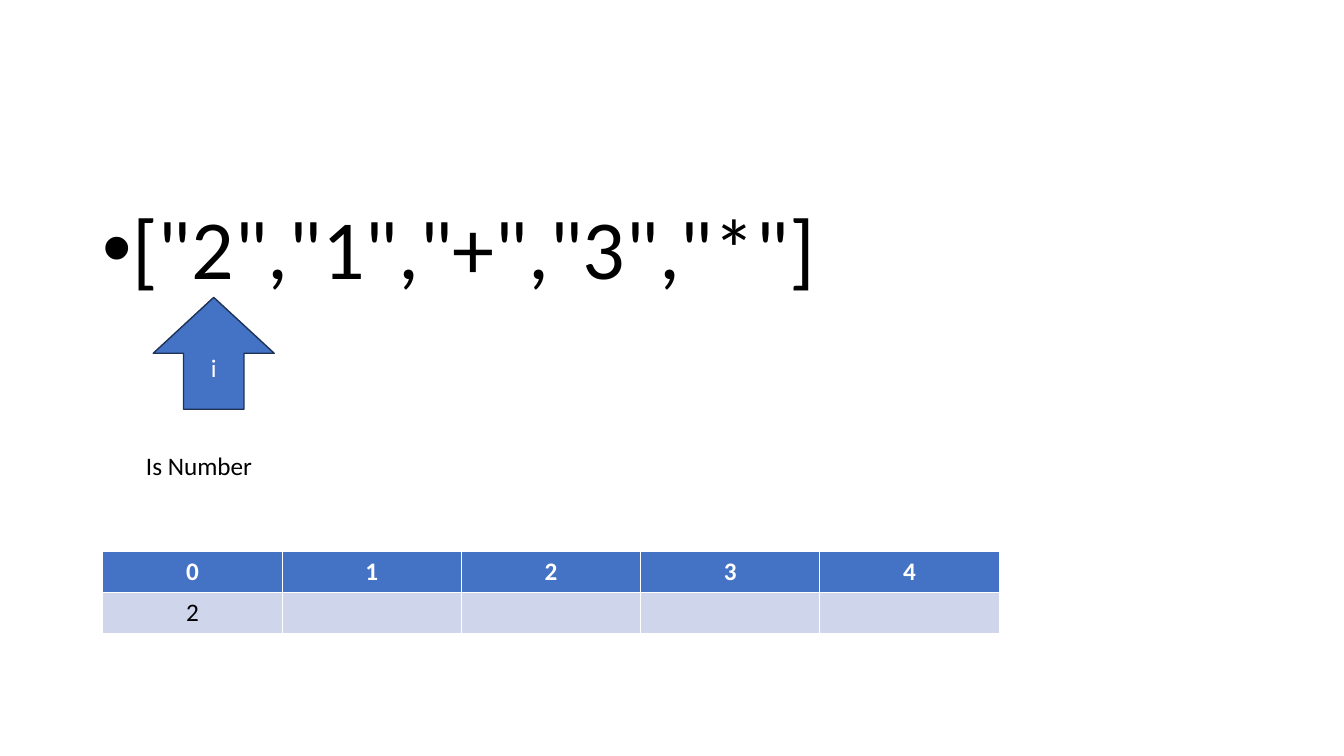
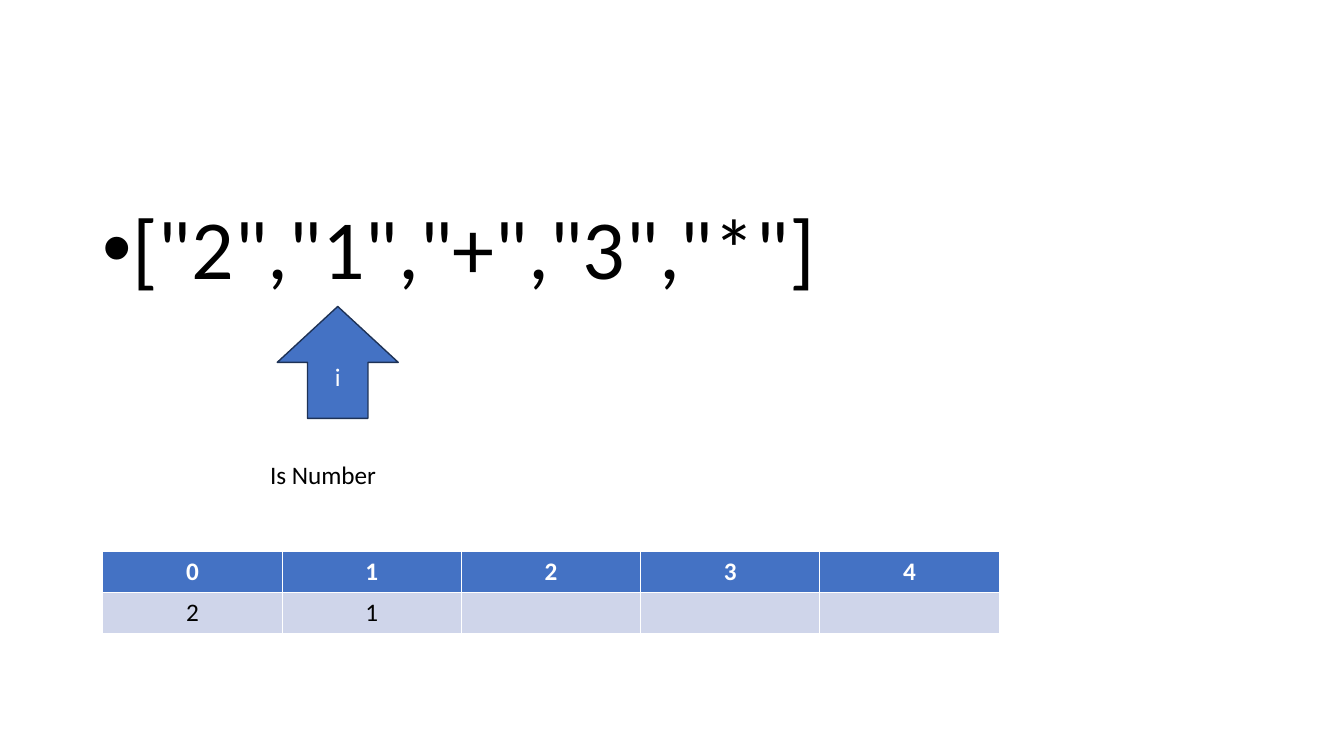
from pptx import Presentation
from pptx.dml.color import RGBColor
from pptx.enum.shapes import MSO_SHAPE
from pptx.enum.text import MSO_ANCHOR, MSO_AUTO_SIZE, PP_ALIGN
from pptx.util import Inches, Pt

FONT = "Calibri"
COLORS = {
    "text": "000000",
    "white": "FFFFFF",
    "accent": "4472C4",
    "outline": "1E3256",
    "cell": "CFD5EA",
}
TOKENS = ["2", "1", "+", "3", "*"]
STEPS = [
    {"arrow": (1.52, 2.95), "label": "Is Number", "stack": ["2"]},
    {"arrow": (2.75, 3.04), "label": "Is Number", "stack": ["2", "1"]},
]
ARROW_SIZE = (1.2, 1.11)
LABEL_OFFSET = (-0.17, 1.47)
LABEL_SIZE = (1.67, 0.4)
TABLE_BOX = (1.02, 5.47, 8.89, 0.81)


def color(name):
    return RGBColor.from_string(COLORS[name])


def write(text_frame, text, size=18, color_name="text", bold=False, align=None):
    text_frame.text = text
    paragraph = text_frame.paragraphs[0]
    paragraph.alignment = align
    for run in paragraph.runs:
        run.font.name = FONT
        run.font.size = Pt(size)
        run.font.bold = bold
        run.font.color.rgb = color(color_name)
    return paragraph


def add_token_list(slide):
    body = slide.placeholders[1]
    body.left, body.top, body.width, body.height = map(Inches, (0.92, 2, 8.14, 1.36))
    quoted = ",".join(f'"{token}"' for token in TOKENS)
    paragraph = write(body.text_frame, f"[{quoted}]", size=60)
    paragraph.line_spacing = 0.9
    paragraph.space_before = Pt(0)
    properties = paragraph._p.get_or_add_pPr()
    properties.set("marL", str(Inches(0.25)))
    properties.set("indent", str(Inches(-0.25)))


def add_index_arrow(slide, left, top):
    arrow = slide.shapes.add_shape(
        MSO_SHAPE.UP_ARROW, *map(Inches, (left, top, *ARROW_SIZE)))
    arrow.shadow.inherit = False
    arrow.fill.solid()
    arrow.fill.fore_color.rgb = color("accent")
    arrow.line.color.rgb = color("outline")
    arrow.line.width = Pt(1)
    arrow.text_frame.vertical_anchor = MSO_ANCHOR.MIDDLE
    write(arrow.text_frame, "i", color_name="white", align=PP_ALIGN.CENTER)


def add_stack_table(slide, stack):
    """Draw the slot numbers above the stack values; unused slots stay empty."""
    count = len(TOKENS)
    values = stack + [""] * (count - len(stack))
    rows = [
        ([str(slot) for slot in range(count)], "accent", "white", True),
        (values, "cell", "text", False),
    ]
    table = slide.shapes.add_table(len(rows), count, *map(Inches, TABLE_BOX)).table
    for row_index, (texts, fill, text_color, bold) in enumerate(rows):
        for column, text in enumerate(texts):
            cell = table.cell(row_index, column)
            cell.fill.solid()
            cell.fill.fore_color.rgb = color(fill)
            write(cell.text_frame, text, color_name=text_color, bold=bold,
                  align=PP_ALIGN.CENTER)


def add_label(slide, left, top, text):
    label = slide.shapes.add_textbox(*map(Inches, (left, top, *LABEL_SIZE)))
    label.text_frame.word_wrap = True
    label.text_frame.auto_size = MSO_AUTO_SIZE.SHAPE_TO_FIT_TEXT
    write(label.text_frame, text)


def add_step(presentation, step):
    slide = presentation.slides.add_slide(presentation.slide_layouts[1])
    title = slide.shapes.title.element
    title.getparent().remove(title)
    left, top = step["arrow"]
    add_token_list(slide)
    add_index_arrow(slide, left, top)
    add_stack_table(slide, step["stack"])
    add_label(slide, left + LABEL_OFFSET[0], top + LABEL_OFFSET[1], step["label"])


def main():
    presentation = Presentation()
    presentation.slide_width = Inches(13.33)
    presentation.slide_height = Inches(7.5)
    for step in STEPS:
        add_step(presentation, step)
    presentation.save("out.pptx")


if __name__ == "__main__":
    main()
